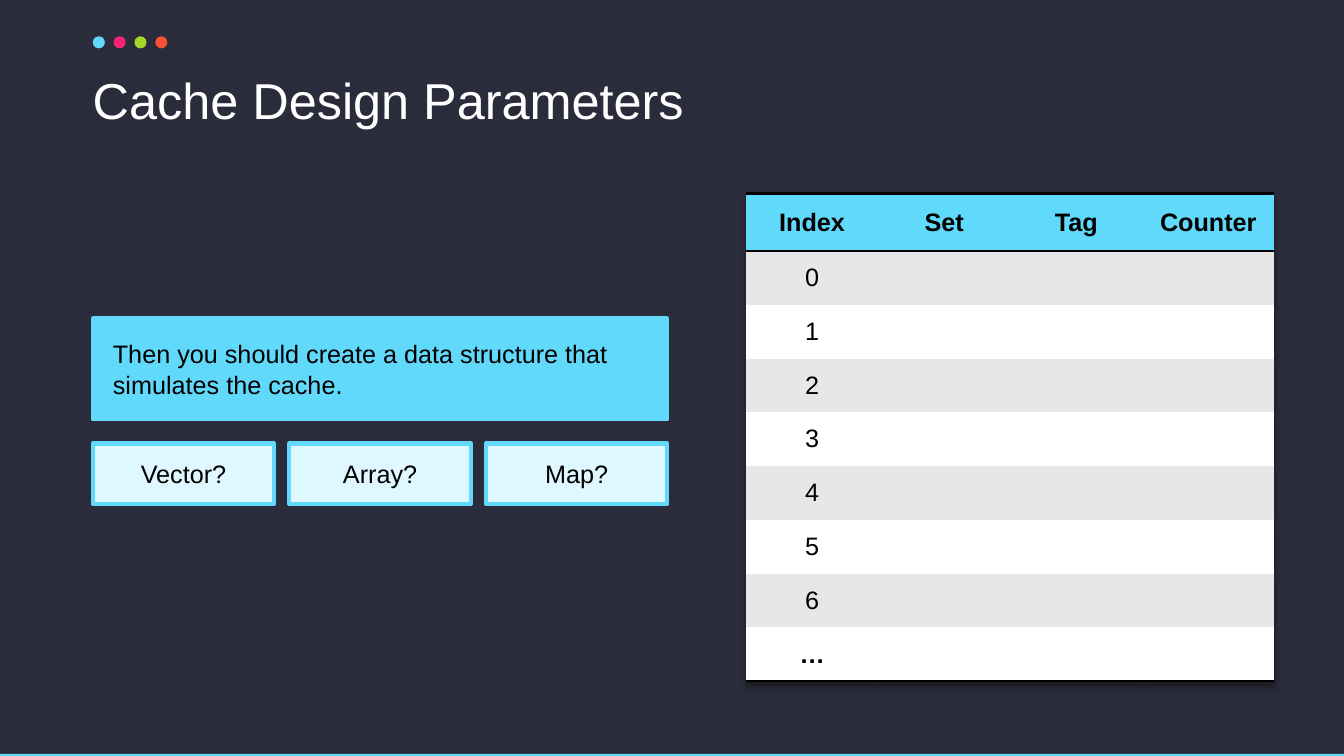
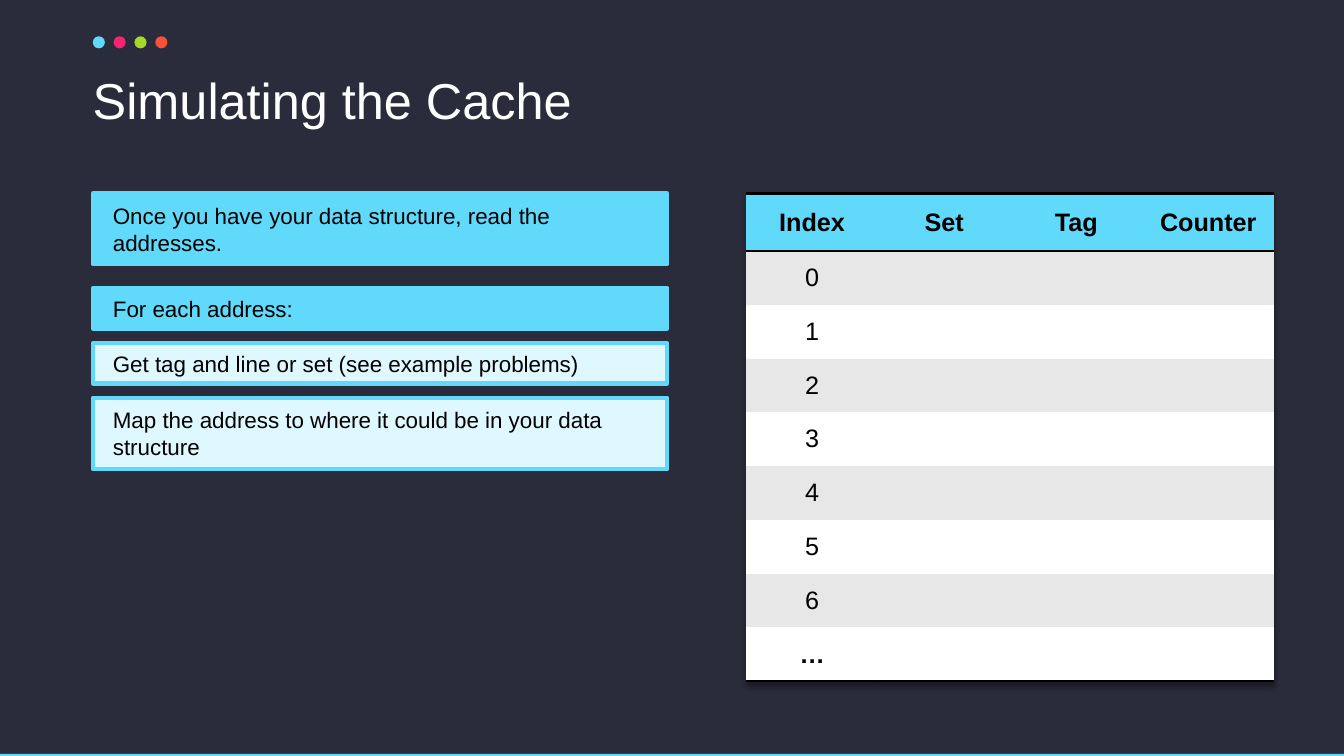
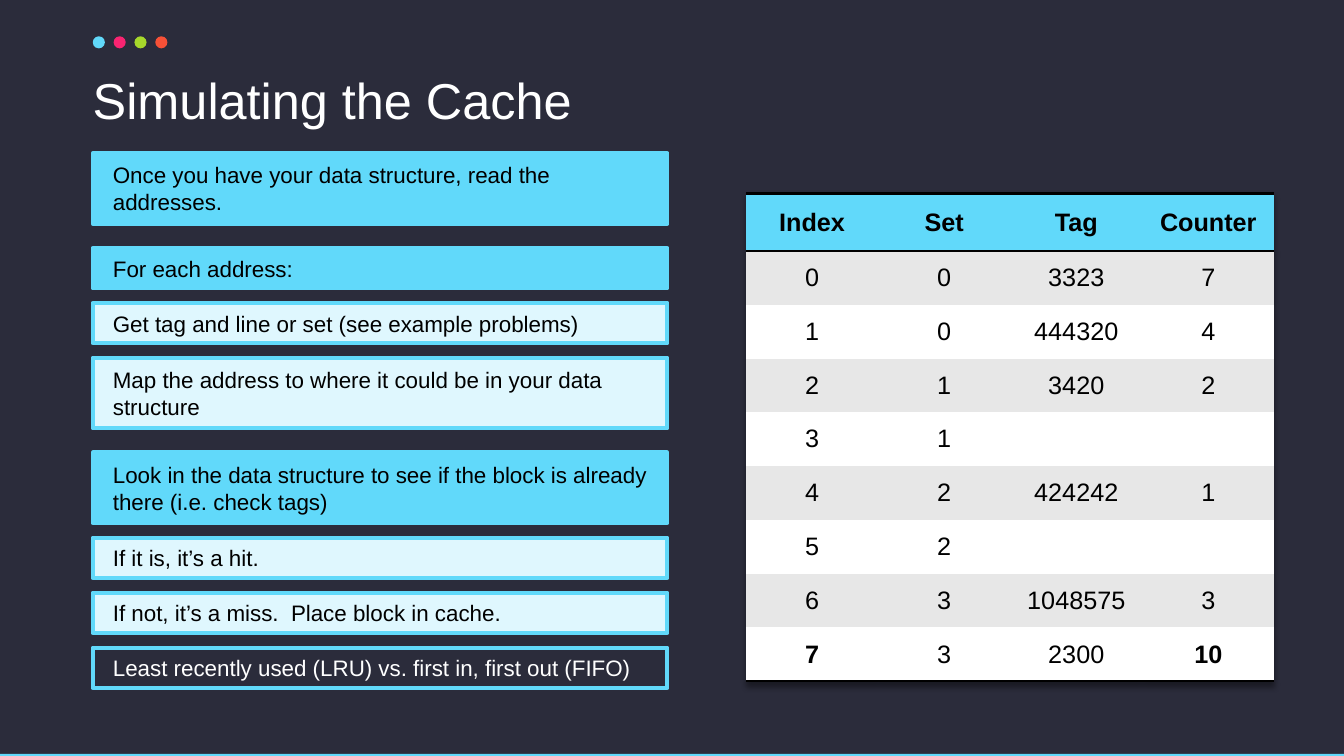
"""Build three slides about simulating a cache."""
from collections import namedtuple

from lxml import etree
from pptx import Presentation
from pptx.dml.color import RGBColor
from pptx.enum import shapes, text
from pptx.oxml import parse_xml
from pptx.oxml.ns import nsdecls, qn
from pptx.util import Inches, Pt

NIGHT = RGBColor(0x2B, 0x2C, 0x3B)
SKY = RGBColor(0x61, 0xD9, 0xFA)
PALE = RGBColor(0xDF, 0xF7, 0xFE)
PINK = RGBColor(0xF9, 0x24, 0x71)
LIME = RGBColor(0xA6, 0xD8, 0x2B)
ORANGE = RGBColor(0xF7, 0x51, 0x37)
GREY = RGBColor(0xE7, 0xE7, 0xE7)
WHITE = RGBColor(0xFF, 0xFF, 0xFF)
BLACK = RGBColor(0, 0, 0)

FONT = "Arial"
WIDTH, HEIGHT = Inches(13.33), Inches(7.5)
ROWS = 75
STEP = HEIGHT / ROWS
COLUMNS = WIDTH / STEP
NO_STYLE = "{2D5ABB26-0587-4C30-8999-92F81FD0307C}"
GROUP_GAP, ITEM_GAP, CHOICE_GAP = 2.4, 1.45, 1.5

Box = namedtuple("Box", "left top width height")
TITLE = Box(9.2, 7.4, 115, 5.5)
DOTS = Box(9.2, 3.6, 7.4, 1.2)
FOOTER = Box(0, 74.8, COLUMNS, 0.2)
CACHE = Box(74, 19.2, 52.4, 48.4)
NOTES = Box(9.2, 19.2, 57, 48.4)

HEADINGS = ["Index", "Set", "Tag", "Counter"]
EMPTY_CACHE = [[index, "", "", ""] for index in "0123456…"]
FULL_CACHE = [
    ["0", "0", "3323", "7"],
    ["1", "0", "444320", "4"],
    ["2", "1", "3420", "2"],
    ["3", "1", "", ""],
    ["4", "2", "424242", "1"],
    ["5", "2", "", ""],
    ["6", "3", "1048575", "3"],
    ["7", "3", "2300", "10"],
]

READ_STEPS = [
    ("head", 7, "Once you have your data structure, read the addresses."),
    ("head", 4, "For each address:"),
    ("item", 4, "Get tag and line or set (see example problems)"),
    ("item", 7, "Map the address to where it could be in your data structure"),
]
LOOKUP_STEPS = [
    ("lead", 7, "Look in the data structure to see if the block is already there (i.e. check tags)"),
    ("item", 4, "If it is, it’s a hit."),
    ("item", 4, "If not, it’s a miss.  Place block in cache."),
    ("aside", 4, "Least recently used (LRU) vs. first in, first out (FIFO)"),
]
FILLS = {"head": SKY, "lead": SKY, "item": PALE, "aside": None}


def emu(box):
    """Turn a box in grid steps into whole slide units."""
    return [round(length * STEP) for length in box]


def set_font(paragraph, size, color, bold=False):
    """Apply the deck font to a paragraph."""
    font = paragraph.font
    font.name, font.size, font.bold = FONT, Pt(size), bold
    font.color.rgb = color


def add_block(slide, box, fill, outline=None, preset=shapes.MSO_SHAPE.RECTANGLE):
    """Add a flat shape with an optional fill and outline."""
    block = slide.shapes.add_shape(preset, *emu(box))
    block.shadow.inherit = False
    if fill is None:
        block.fill.background()
    else:
        block.fill.solid()
        block.fill.fore_color.rgb = fill
    if outline is None:
        block.line.fill.background()
    else:
        block.line.color.rgb = outline
        block.line.width = Pt(3)
    return block


def add_note(slide, box, wording, fill, size, align=text.PP_ALIGN.LEFT):
    """Add an outlined note with its wording centred vertically."""
    frame = add_block(slide, box, fill, SKY).text_frame
    frame.word_wrap = True
    frame.vertical_anchor = text.MSO_ANCHOR.MIDDLE
    frame.margin_left = frame.margin_right = round(2 * STEP)
    frame.margin_top = frame.margin_bottom = round(2 * STEP)
    paragraph = frame.paragraphs[0]
    paragraph.text = wording
    paragraph.alignment = align
    set_font(paragraph, size, WHITE if fill is None else BLACK)


def add_dots(slide, box):
    """Spread the four accent dots evenly across the box."""
    colors = (SKY, PINK, LIME, ORANGE)
    pitch = (box.width - box.height) / (len(colors) - 1)
    for place, color in enumerate(colors):
        dot = Box(box.left + place * pitch, box.top, box.height, box.height)
        add_block(slide, dot, color, preset=shapes.MSO_SHAPE.OVAL)


def add_title(slide, box, wording):
    """Write the slide title in the box."""
    frame = slide.shapes.add_textbox(*emu(box)).text_frame
    frame.word_wrap = True
    frame.vertical_anchor = text.MSO_ANCHOR.BOTTOM
    frame.margin_left = frame.margin_right = 0
    frame.margin_top = frame.margin_bottom = 0
    paragraph = frame.paragraphs[0]
    paragraph.text = wording
    paragraph.line_spacing = 0.9
    set_font(paragraph, 36, WHITE)


def add_border(cell, side):
    """Rule one side of a table cell in black."""
    rule = etree.SubElement(cell._tc.get_or_add_tcPr(), qn(f"a:{side}"), w=str(Pt(2)))
    fill = etree.SubElement(rule, qn("a:solidFill"))
    etree.SubElement(fill, qn("a:srgbClr"), val=str(BLACK))


def style_table(table):
    """Drop the banded style and cast a soft shadow below the table."""
    table.first_row = table.horz_banding = False
    properties = table._tbl.tblPr
    properties.find(qn("a:tableStyleId")).text = NO_STYLE
    properties.insert(0, parse_xml(
        f'<a:effectLst {nsdecls("a")}><a:outerShdw blurRad="50800" dist="38100" '
        'dir="5400000" algn="t" rotWithShape="0"><a:srgbClr val="000000">'
        '<a:alpha val="40000"/></a:srgbClr></a:outerShdw></a:effectLst>'))


def add_cache(slide, box, entries):
    """Draw the cache table with a tall heading row and banded entries."""
    lines = [HEADINGS] + entries
    last = len(entries)
    table = slide.shapes.add_table(len(lines), len(HEADINGS), *emu(box)).table
    style_table(table)
    heading_height = 5.7
    entry_height = (box.height - heading_height) / last
    for column in table.columns:
        column.width = round(box.width / len(HEADINGS) * STEP)
    for r, line in enumerate(lines):
        table.rows[r].height = round((entry_height if r else heading_height) * STEP)
        for c, value in enumerate(line):
            cell = table.cell(r, c)
            cell.vertical_anchor = text.MSO_ANCHOR.MIDDLE
            if r == 0:
                add_border(cell, "lnT")
            if r in (0, last):
                add_border(cell, "lnB")
            cell.fill.solid()
            cell.fill.fore_color.rgb = SKY if r == 0 else GREY if r % 2 else WHITE
            paragraph = cell.text_frame.paragraphs[0]
            paragraph.text = value
            paragraph.alignment = text.PP_ALIGN.CENTER
            set_font(paragraph, 18, BLACK, r == 0 or (r == last and c in (0, 3)))


def add_steps(slide, box, steps):
    """Stack the steps from the top of the box, with wider gaps above heads."""
    top = box.top
    for place, (kind, height, wording) in enumerate(steps):
        if place:
            top += GROUP_GAP if kind in ("head", "lead") else ITEM_GAP
        add_note(slide, Box(box.left, top, box.width, height), wording, FILLS[kind], 16)
        top += height


def add_choices(slide, box, statement, choices):
    """Place a statement above a row of equal choices."""
    statement_height, choice_height = 10, 6
    add_note(slide, box._replace(height=statement_height), statement, SKY, 18)
    top = box.top + statement_height + GROUP_GAP
    width = (box.width - CHOICE_GAP * (len(choices) - 1)) / len(choices)
    for place, choice in enumerate(choices):
        left = box.left + place * (width + CHOICE_GAP)
        add_note(slide, Box(left, top, width, choice_height), choice, PALE, 18,
                 text.PP_ALIGN.CENTER)


def add_cache_slide(deck, title, entries):
    """Add a slide with the shared trim, a title and the cache table."""
    slide = deck.slides.add_slide(deck.slide_layouts[6])
    add_dots(slide, DOTS)
    add_block(slide, FOOTER, SKY)
    add_title(slide, TITLE, title)
    add_cache(slide, CACHE, entries)
    return slide


def main():
    """Build and save the deck."""
    deck = Presentation()
    deck.slide_width, deck.slide_height = WIDTH, HEIGHT
    backdrop = deck.slide_master.background.fill
    backdrop.solid()
    backdrop.fore_color.rgb = NIGHT

    design = add_cache_slide(deck, "Cache Design Parameters", EMPTY_CACHE)
    add_choices(design, NOTES._replace(top=31.6),
                "Then you should create a data structure that simulates the cache.",
                ["Vector?", "Array?", "Map?"])

    reading = add_cache_slide(deck, "Simulating the Cache", EMPTY_CACHE)
    add_steps(reading, NOTES, READ_STEPS)

    lookup = add_cache_slide(deck, "Simulating the Cache", FULL_CACHE)
    add_steps(lookup, NOTES._replace(top=15.2), READ_STEPS + LOOKUP_STEPS)

    deck.save("out.pptx")


if __name__ == "__main__":
    main()
